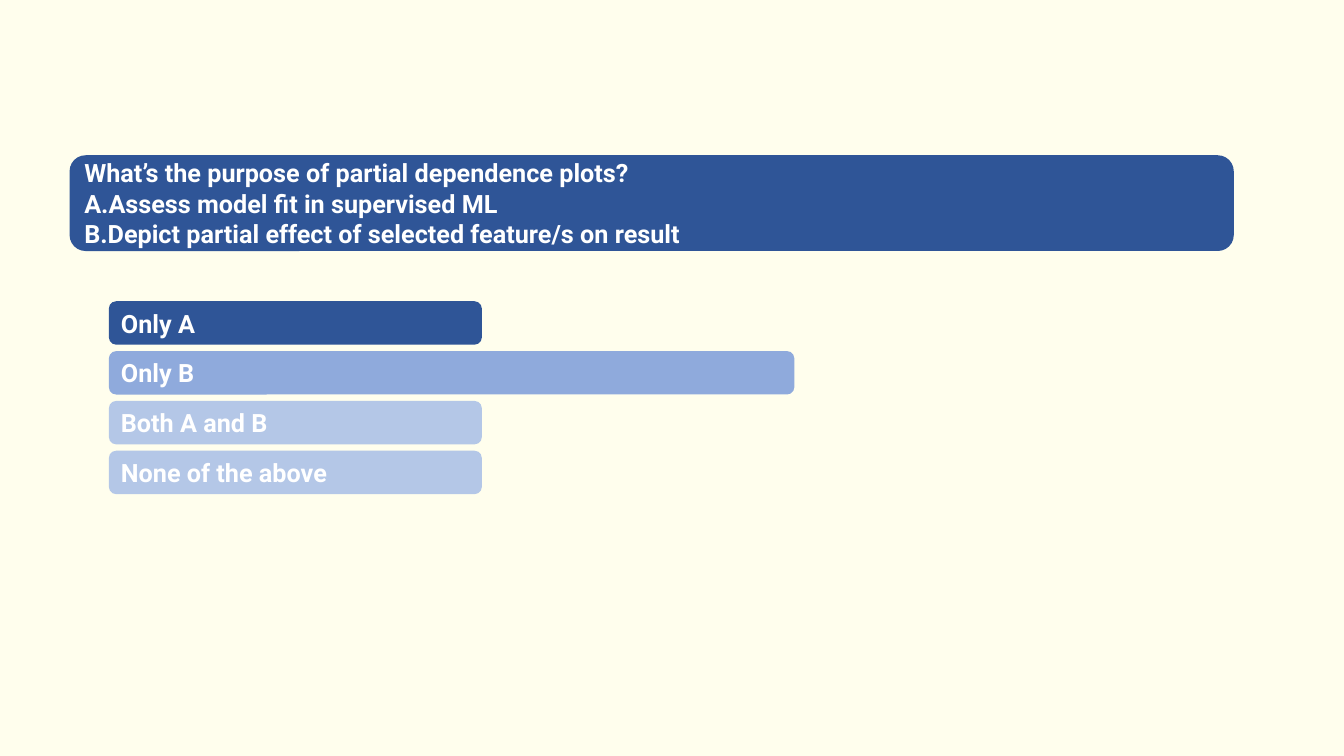
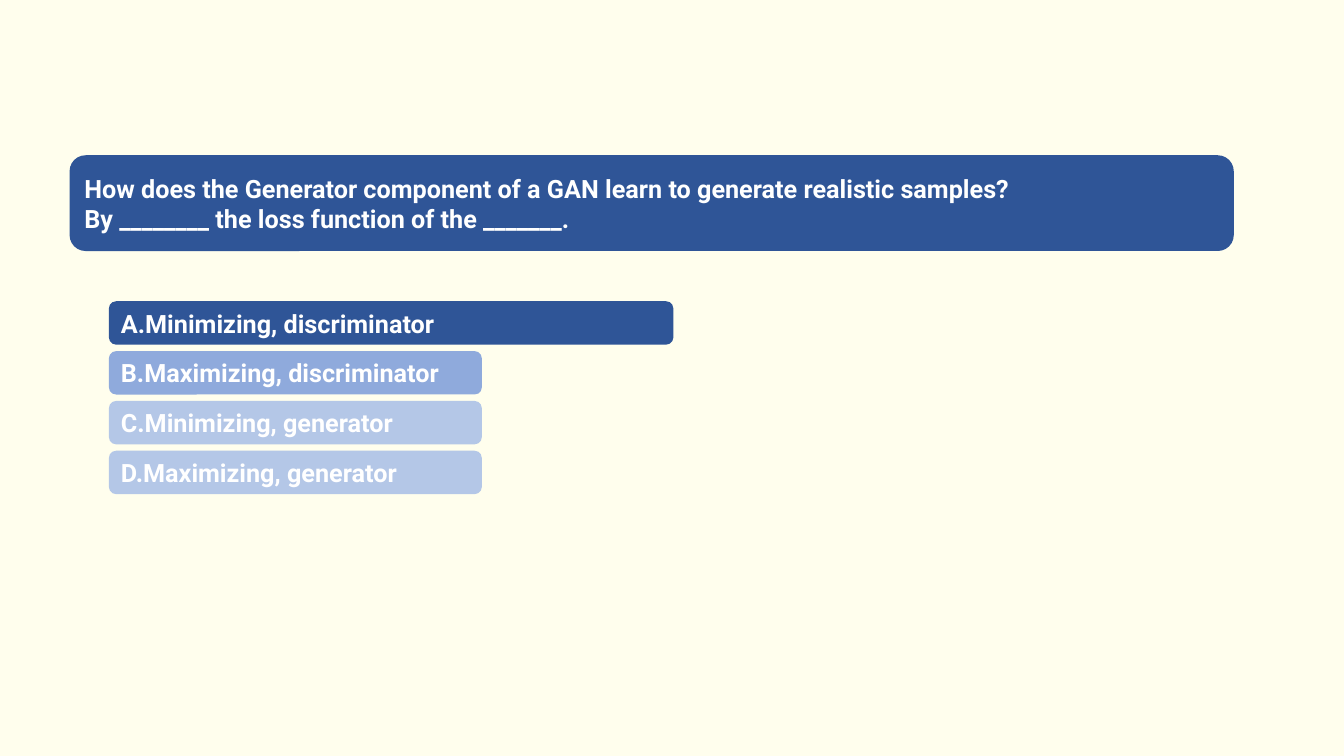
from pptx import Presentation
from pptx.dml.color import RGBColor as RGB
from pptx.enum.shapes import MSO_SHAPE as Shape
from pptx.enum.text import MSO_ANCHOR as Anchor, MSO_AUTO_SIZE as Auto, PP_ALIGN as Align
from pptx.util import Pt

# Shared style
HUES = {"page": "FFFEED", "deep": "2F5597", "mid": "8FAADC", "pale": "B4C7E7", "text": "FFFFFF"}
BAND = (49.7, 110.9, 831.6, 68.4)
LEFT, TOP, STEP, TALL = 77.8, 215.2, 35.6, 31
SHORT = 266.4
TONES = ("deep", "mid", "pale", "pale")


def hue(name):
    return RGB.from_string(HUES[name])


def write(frame, text, size=18, face="Roboto", tone="text", bold=True, inset=7.2):
    """Fill a frame with left-aligned, vertically centred lines."""
    frame.word_wrap = True
    frame.auto_size = Auto.NONE
    frame.vertical_anchor = Anchor.MIDDLE
    frame.margin_left = frame.margin_right = Pt(inset)
    frame.margin_top = frame.margin_bottom = 0
    frame.text = text
    for para in frame.paragraphs:
        para.alignment = Align.LEFT
        for run in para.runs:
            font = run.font
            font.size, font.name, font.bold = Pt(size), face, bold
            font.color.rgb = hue(tone)


class Quiz:
    def __init__(self):
        self.deck = Presentation()
        self.deck.slide_width, self.deck.slide_height = Pt(960), Pt(540)
        fill = self.deck.slide_master.background.fill
        fill.solid()
        fill.fore_color.rgb = hue("page")

    def page(self):
        self.slide = self.deck.slides.add_slide(self.deck.slide_layouts[5])

    def bar(self, box, tone):
        bar = self.slide.shapes.add_shape(Shape.ROUNDED_RECTANGLE, *map(Pt, box))
        bar.shadow.inherit = False
        bar.fill.solid()
        bar.fill.fore_color.rgb = hue(tone)
        bar.line.fill.background()
        return bar

    def title(self, text):
        band = self.bar(BAND, "deep")
        title = self.slide.shapes.title
        # The band goes behind the title text
        title._element.addprevious(band._element)
        title.left, title.top, title.width, title.height = map(Pt, BAND)
        write(title.text_frame, text, inset=10.5)

    def choices(self, items):
        for row, ((text, wide), tone) in enumerate(zip(items, TONES)):
            bar = self.bar((LEFT, TOP + row * STEP, wide, TALL), tone)
            write(bar.text_frame, text)


# Questions with their answers and bar widths
PAGES = [
    ("What’s the purpose of partial dependence plots?\n"
     "A.Assess model fit in supervised ML\n"
     "B.Depict partial effect of selected feature/s on result",
     [("Only A", SHORT), ("Only B", 489.6),
      ("Both A and B", SHORT), ("None of the above", SHORT)]),
    ("How does the Generator component of a GAN learn to generate realistic samples?\n"
     "By ________ the loss function of the _______.",
     [("A.Minimizing, discriminator", 403.2), ("B.Maximizing, discriminator", SHORT),
      ("C.Minimizing, generator", SHORT), ("D.Maximizing, generator", SHORT)]),
]

quiz = Quiz()
for ask, items in PAGES:
    quiz.page()
    quiz.title(ask)
    quiz.choices(items)
quiz.deck.save("out.pptx")
